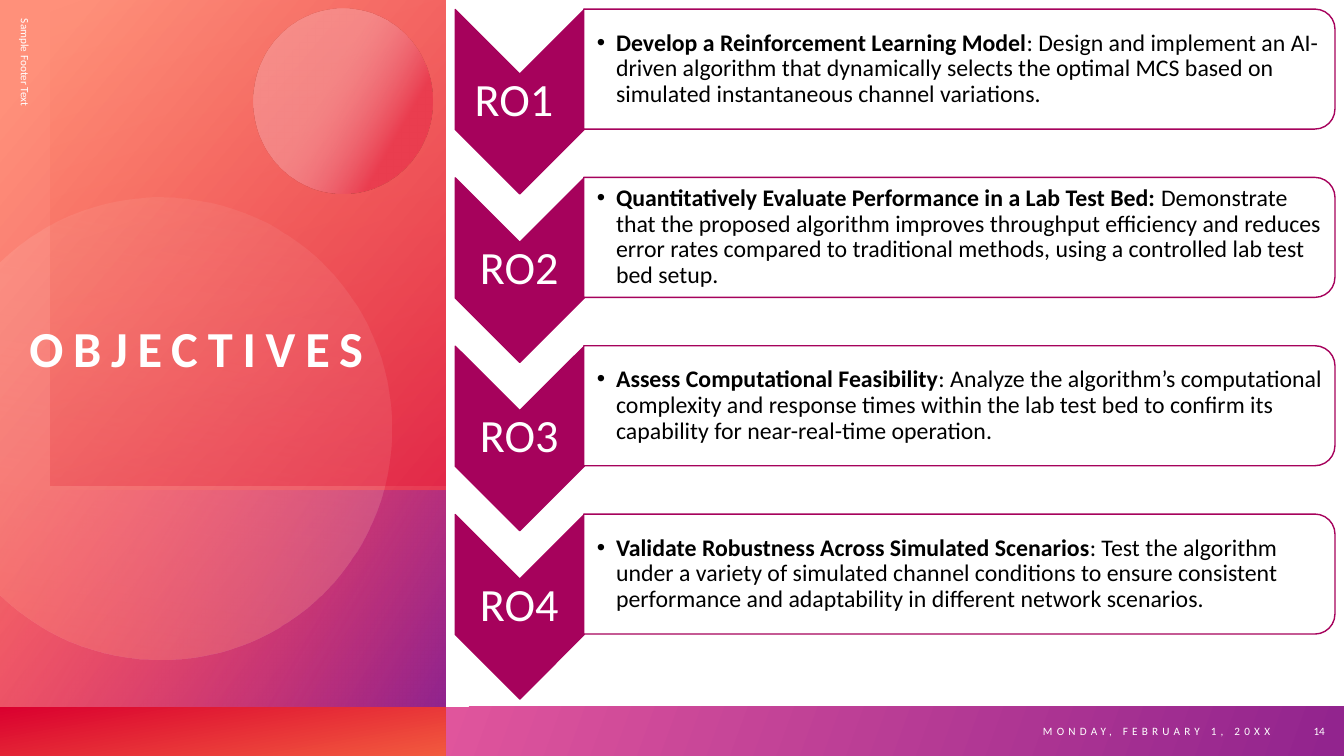
from dataclasses import dataclass
from math import acos, cos, pi, sin
from typing import NamedTuple

from lxml import etree
from pptx import Presentation
from pptx.dml.color import RGBColor
from pptx.enum.shapes import MSO_SHAPE
from pptx.enum.text import MSO_ANCHOR, MSO_AUTO_SIZE, PP_ALIGN
from pptx.oxml import parse_xml
from pptx.oxml.ns import nsdecls, qn
from pptx.util import Inches, Pt

RECTANGLE, OVAL = MSO_SHAPE.RECTANGLE, MSO_SHAPE.OVAL
CHEVRON, ROUNDED_END = MSO_SHAPE.CHEVRON, MSO_SHAPE.ROUND_2_SAME_RECTANGLE
MIDDLE, BOTTOM = MSO_ANCHOR.MIDDLE, MSO_ANCHOR.BOTTOM
LEFT, CENTER, RIGHT = PP_ALIGN.LEFT, PP_ALIGN.CENTER, PP_ALIGN.RIGHT
NO_AUTOFIT = MSO_AUTO_SIZE.NONE
COMPARISON_LAYOUT = 4


@dataclass(frozen=True)
class Theme:
    font: str = "Calibri"
    white: str = "FFFFFF"
    black: str = "000000"
    berry: str = "A6025C"
    purple: str = "92248E"
    red: str = "DA002F"
    salmon: str = "FF907A"
    title_size: float = 36
    label_size: float = 33
    body_size: float = 17
    footer_size: float = 8


THEME = Theme()


class Area(NamedTuple):
    left: float
    top: float
    width: float
    height: float


class Stop(NamedTuple):
    position: int
    color: str
    opacity: int = 100


class Panel(NamedTuple):
    kind: int
    area: Area
    stops: list[Stop]
    angle: int


class Caption(NamedTuple):
    text: str
    area: Area
    align: int
    spacing: int = 0
    rotation: int = 0


class Objective(NamedTuple):
    label: str
    heading: str
    detail: str


PANELS = [
    Panel(RECTANGLE, Area(0, 7.01, 4.42, 0.49),
          [Stop(0, THEME.red), Stop(100, "F25A3E")], 80),
    Panel(RECTANGLE, Area(4.42, 7.01, 8.91, 0.49),
          [Stop(0, "E0559C"), Stop(99, THEME.purple)], 20),
    Panel(RECTANGLE, Area(0, 0, 4.42, 7.01),
          [Stop(8, THEME.salmon), Stop(100, "E0264B")], 40),
    Panel(RECTANGLE, Area(0, 4.87, 4.42, 2.14),
          [Stop(0, "FF5076", 0), Stop(99, THEME.purple)], 30),
]
TINT = Panel(RECTANGLE, Area(0.5, 0, 3.92, 4.82),
             [Stop(0, "FE4A00", 0), Stop(100, THEME.red, 29)], 70)
SMALL_DISC = Panel(OVAL, Area(2.51, 0.09, 1.78, 1.83),
                   [Stop(0, "F6ACB0", 44), Stop(41, "F6ACB0", 44), Stop(76, "EA3D4F")], 30)
LARGE_DISC_STOPS = [Stop(0, THEME.white, 7), Stop(100, THEME.salmon, 32)]

TITLE_AREA = Area(0.29, 1.84, 4.11, 1.91)
CAPTIONS = [
    Caption("Sample Footer Text", Area(-2, 2.09, 4.5, 0.5), LEFT, rotation=90),
    Caption("MONDAY, FEBRUARY 1, 20XX", Area(8.65, 7.01, 4.05, 0.49), RIGHT, spacing=3),
    Caption("14", Area(12.76, 7.01, 0.48, 0.49), RIGHT),
]
OBJECTIVES = [
    Objective("RO1 ", "Develop a Reinforcement Learning Model",
              ": Design and implement an AI-driven algorithm that dynamically selects the "
              "optimal MCS based on simulated instantaneous channel variations."),
    Objective("RO2", "Quantitatively Evaluate Performance in a Lab Test Bed: ",
              "Demonstrate that the proposed algorithm improves throughput efficiency and "
              "reduces error rates compared to traditional methods, using a controlled lab "
              "test bed setup."),
    Objective("RO3", "Assess Computational Feasibility",
              ": Analyze the algorithm’s computational complexity and response times within "
              "the lab test bed to confirm its capability for near-real-time operation."),
    Objective("RO4", "Validate Robustness Across Simulated Scenarios",
              ": Test the algorithm under a variety of simulated channel conditions to ensure "
              "consistent performance and adaptability in different network scenarios."),
]
ROW_PITCH = 1.67


def place(shape, area: Area) -> None:
    for name, value in area._asdict().items():
        setattr(shape, name, Inches(value))


def paint_gradient(shape, stops: list[Stop], angle: int) -> None:
    """Fill with a linear gradient whose stops may be see-through."""
    shape.shadow.inherit = False
    shape.line.fill.background()
    shape.fill.background()
    stop_xml = "".join(
        f'<a:gs pos="{stop.position * 1000}"><a:srgbClr val="{stop.color}">'
        f'<a:alpha val="{stop.opacity * 1000}"/></a:srgbClr></a:gs>' for stop in stops)
    gradient = parse_xml(f'<a:gradFill {nsdecls("a")}><a:gsLst>{stop_xml}</a:gsLst>'
                         f'<a:lin ang="{angle * 60000}" scaled="0"/></a:gradFill>')
    properties = shape.element.spPr
    properties.replace(properties.find(qn("a:noFill")), gradient)


def add_panel(page, panel: Panel) -> None:
    shape = page.shapes.add_shape(panel.kind, *map(Inches, panel.area))
    paint_gradient(shape, panel.stops, panel.angle)


def add_large_disc(page, center_x: float, center_y: float, radius: float) -> None:
    """Draw a disc cut off at the left edge of the slide."""
    limit = pi - acos(center_x / radius)
    steps = 90
    angles = [limit * (2 * step / steps - 1) for step in range(steps + 1)]
    points = [(Inches(center_x + radius * cos(angle)), Inches(center_y + radius * sin(angle)))
              for angle in angles]
    builder = page.shapes.build_freeform(*points[0])
    builder.add_line_segments(points[1:], close=True)
    paint_gradient(builder.convert_to_shape(), LARGE_DISC_STOPS, 100)


def format_frame(frame, anchor: int, margins: tuple = (0.1, 0.05, 0.1, 0.05)) -> None:
    sides = ("margin_left", "margin_top", "margin_right", "margin_bottom")
    values = {"word_wrap": True, "auto_size": NO_AUTOFIT, "vertical_anchor": anchor,
              **dict(zip(sides, map(Inches, margins)))}
    for name, value in values.items():
        setattr(frame, name, value)


def add_span(para, text: str, size: float, color: str, bold: bool = False, spacing: int = 0):
    span = para.add_run()
    span.text = text
    for name, value in {"name": THEME.font, "size": Pt(size), "bold": bold}.items():
        setattr(span.font, name, value)
    span.font.color.rgb = RGBColor.from_string(color)
    if spacing:
        span.font._element.set("spc", str(spacing * 100))
    return span


def bring_to_front(shape) -> None:
    shape.element.getparent().append(shape.element)


def fill_title(title) -> None:
    place(title, TITLE_AREA)
    bring_to_front(title)
    format_frame(title.text_frame, BOTTOM, (0, 0, 0, 0))
    para = title.text_frame.paragraphs[0]
    para.alignment = LEFT
    span = add_span(para, "OBJECTIVES", THEME.title_size, THEME.white, True, 7)
    shadow = parse_xml(
        f'<a:effectLst {nsdecls("a")}><a:outerShdw blurRad="38100" dist="38100" dir="2700000">'
        '<a:srgbClr val="000000"><a:alpha val="43000"/></a:srgbClr></a:outerShdw></a:effectLst>')
    span.font._element.find(qn("a:solidFill")).addnext(shadow)


def add_caption(page, caption: Caption) -> None:
    box = page.shapes.add_textbox(*map(Inches, caption.area))
    box.rotation = caption.rotation
    format_frame(box.text_frame, MIDDLE)
    para = box.text_frame.paragraphs[0]
    para.alignment = caption.align
    add_span(para, caption.text, THEME.footer_size, THEME.white, spacing=caption.spacing)


def add_outlined(page, kind: int, area: Area, fill: str) -> None:
    shape = page.shapes.add_shape(kind, *map(Inches, area))
    shape.rotation = 90
    shape.shadow.inherit = False
    shape.fill.solid()
    shape.fill.fore_color.rgb = RGBColor.from_string(fill)
    shape.line.color.rgb = RGBColor.from_string(THEME.berry)
    shape.line.width = Pt(1)


def add_objective(page, body, objective: Objective, offset: float) -> None:
    add_outlined(page, CHEVRON, Area(4.24, 0.37 + offset, 1.83, 1.28), THEME.berry)
    label = page.shapes.add_textbox(*map(Inches, Area(4.51, 0.73 + offset, 1.28, 0.55)))
    format_frame(label.text_frame, MIDDLE, (0.02,) * 4)
    para = label.text_frame.paragraphs[0]
    para.alignment, para.line_spacing = CENTER, 0.9
    add_span(para, objective.label, THEME.label_size, THEME.white)

    add_outlined(page, ROUNDED_END, Area(8.92, -3.04 + offset, 1.19, 7.45), THEME.white)
    place(body, Area(5.79, 0.15 + offset, 7.39, 1.07))
    bring_to_front(body)
    format_frame(body.text_frame, MIDDLE, (0.13, 0.01, 0.01, 0.01))
    para = body.text_frame.paragraphs[0]
    para.alignment, para.line_spacing, para.space_before = LEFT, 0.9, Pt(0)
    properties = para._p.get_or_add_pPr()
    properties.set("marL", str(Inches(0.19)))
    properties.set("indent", str(Inches(-0.19)))
    etree.SubElement(properties, qn("a:buFont"), typeface="Arial")
    etree.SubElement(properties, qn("a:buChar"), char="•")
    add_span(para, objective.heading, THEME.body_size, THEME.black, bold=True)
    add_span(para, objective.detail, THEME.body_size, THEME.black)


def main() -> None:
    deck = Presentation()
    deck.slide_width, deck.slide_height = Inches(13.33), Inches(7.5)
    page = deck.slides.add_slide(deck.slide_layouts[COMPARISON_LAYOUT])
    title, *bodies = page.placeholders
    for panel in PANELS:
        add_panel(page, panel)
    add_large_disc(page, 1.59, 4.25, 2.29)
    add_panel(page, TINT)
    fill_title(title)
    for caption in CAPTIONS:
        add_caption(page, caption)
    for row, (body, objective) in enumerate(zip(bodies, OBJECTIVES)):
        add_objective(page, body, objective, row * ROW_PITCH)
    add_panel(page, SMALL_DISC)
    deck.save("out.pptx")


if __name__ == "__main__":
    main()
